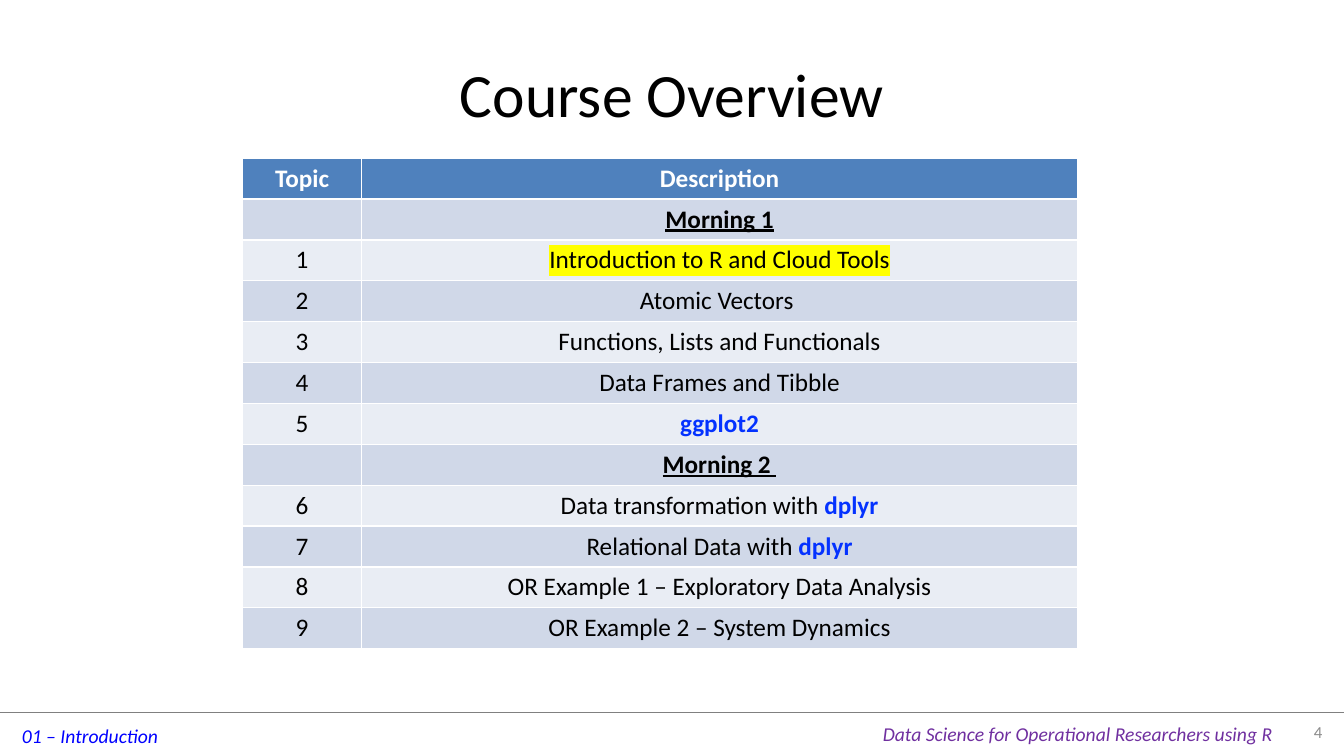
from pptx import Presentation
from pptx.dml.color import RGBColor
from pptx.enum.shapes import MSO_CONNECTOR as Line
from pptx.enum.text import MSO_ANCHOR as Anchor, MSO_AUTO_SIZE as Fit, PP_ALIGN as Align
from pptx.oxml import parse_xml
from pptx.oxml.ns import nsdecls
from pptx.util import Pt

TITLE = "Course Overview"
HEAD = ("Topic", "Description")
# Each topic is a list of (text, style) runs; a part heading has no number.
PARTS = [
    ("Morning 1", [
        [("Introduction to R and Cloud Tools", "mark")],
        [("Atomic Vectors ", "cell")],
        [("Functions, Lists and Functionals", "cell")],
        [("Data Frames and Tibble", "cell")],
        [("ggplot2", "code")],
    ]),
    ("Morning 2 ", [
        [("Data transformation with ", "cell"), ("dplyr", "code")],
        [("Relational Data with ", "cell"), ("dplyr", "code")],
        [("OR Example 1 – Exploratory Data Analysis", "cell")],
        [("OR Example 2 – System Dynamics", "cell")],
    ]),
]
# text, style, left, top, width, height
FOOT = [
    ("01 – Introduction", "unit", 8.6, 513.4, 113, 24.5),
    ("Data Science for Operational Researchers using R", "course", 623.5, 511.9, 296, 24.5),
]
PAGE = ("4", "page", 912, 509, 39.6, 28)

THEME = {
    "font": "Calibri",
    "head": "4F81BD",
    "bands": ("D0D8E8", "E9EDF4"),
    "rule": "808080",
    "mark": "FFFF00",
    "text": {
        "title": dict(size=44, color="000000"),
        "head": dict(size=18, color="FFFFFF", bold=True),
        "part": dict(size=18, color="000000", bold=True, underline=True),
        "cell": dict(size=18, color="000000"),
        "mark": dict(size=18, color="000000"),
        "code": dict(size=18, color="0432FF", bold=True),
        "unit": dict(size=14, color="0000FF", italic=True),
        "course": dict(size=14, color="7030A0", italic=True),
        "page": dict(size=12, color="8C8C8C"),
    },
}
WIDE, HIGH = 960, 540
LEFT, TOP, COLS, ROW = 173, 113, (85.5, 511), 29.2
RULE = 509


def rgb(code):
    return RGBColor.from_string(code)


def write(frame, runs, align=Align.LEFT):
    para = frame.paragraphs[0]
    para.alignment = align
    for text, style in runs:
        look = THEME["text"][style]
        run = para.add_run()
        run.text = text
        font = run.font
        font.name = THEME["font"]
        font.size = Pt(look["size"])
        font.color.rgb = rgb(look["color"])
        font.bold = look.get("bold", False)
        font.italic = look.get("italic", False)
        font.underline = look.get("underline", False)
        if style == "mark":
            glow = parse_xml(f'<a:highlight {nsdecls("a")}>'
                             f'<a:srgbClr val="{THEME["mark"]}"/></a:highlight>')
            run._r.rPr.find("{*}solidFill").addnext(glow)


def add_text(slide, text, style, *area):
    box = slide.shapes.add_textbox(*map(Pt, area))
    write(box.text_frame, [(text, style)])
    return box.text_frame


def add_rule(slide):
    rule = slide.shapes.add_connector(Line.STRAIGHT, 0, Pt(RULE), Pt(WIDE), Pt(RULE))
    rule.line.color.rgb = rgb(THEME["rule"])
    rule.line.width = Pt(0.25)
    rule._element.spPr.append(parse_xml(f'<a:effectLst {nsdecls("a")}/>'))


def list_rows():
    """Return the table rows as pairs of run lists, numbering the topics."""
    rows = [[[(name, "head")] for name in HEAD]]
    num = 0
    for part, topics in PARTS:
        rows.append([[], [(part, "part")]])
        for runs in topics:
            num += 1
            rows.append([[(str(num), "cell")], runs])
    return rows


def add_topics(slide):
    rows = list_rows()
    table = slide.shapes.add_table(len(rows), len(COLS), Pt(LEFT), Pt(TOP),
                                   Pt(sum(COLS)), Pt(ROW * len(rows))).table
    for col, width in zip(table.columns, COLS):
        col.width = Pt(width)
    for r, row in enumerate(rows):
        table.rows[r].height = Pt(ROW)
        shade = THEME["bands"][(r - 1) % 2] if r else THEME["head"]
        for c, runs in enumerate(row):
            cell = table.cell(r, c)
            cell.fill.solid()
            cell.fill.fore_color.rgb = rgb(shade)
            write(cell.text_frame, runs, Align.CENTER)


def main():
    deck = Presentation()
    deck.slide_width, deck.slide_height = Pt(WIDE), Pt(HIGH)
    slide = deck.slides.add_slide(deck.slide_layouts[5])

    add_rule(slide)
    for item in FOOT:
        frame = add_text(slide, *item)
        frame.word_wrap = False
        frame.auto_size = Fit.SHAPE_TO_FIT_TEXT

    title = slide.shapes.title
    title.left, title.top, title.width, title.height = map(Pt, (48, 21.6, 864, 90))
    title.text_frame.vertical_anchor = Anchor.MIDDLE
    write(title.text_frame, [(TITLE, "title")], Align.CENTER)

    page = add_text(slide, *PAGE)
    page.word_wrap = True
    page.vertical_anchor = Anchor.MIDDLE
    page.paragraphs[0].alignment = Align.RIGHT

    add_topics(slide)
    deck.save("out.pptx")


if __name__ == "__main__":
    main()
